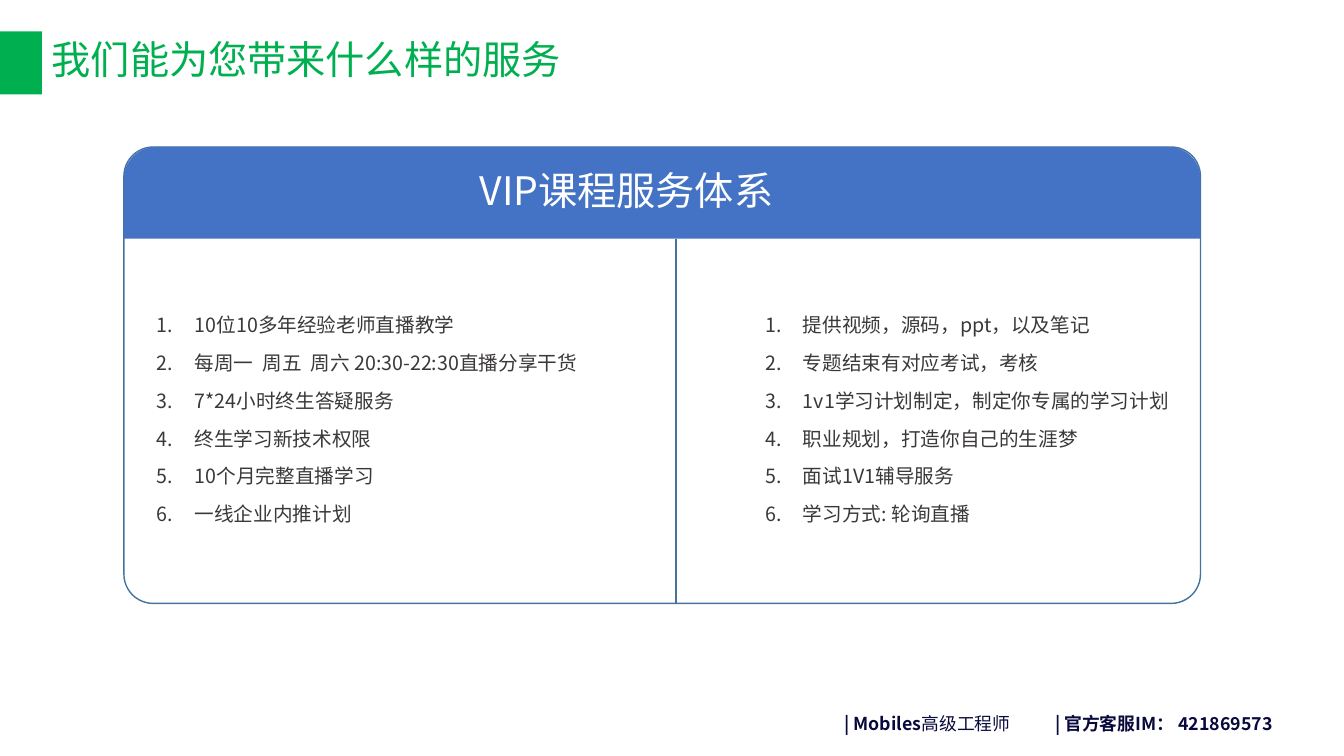
import dataclasses

import pptx
import pptx.dml.color
import pptx.enum.shapes
import pptx.enum.text
import pptx.oxml.ns
import pptx.util
from lxml import etree

Pt = pptx.util.Pt
SHAPES = pptx.enum.shapes.MSO_SHAPE
ANCHOR = pptx.enum.text.MSO_ANCHOR
qn = pptx.oxml.ns.qn


@dataclasses.dataclass(frozen=True)
class Theme:
    """Colours, font and type sizes of the deck."""
    green: str = "00B050"
    blue: str = "4472C4"
    outline: str = "43739E"
    white: str = "FFFFFF"
    body: str = "3B3838"
    navy: str = "090A3C"
    font: str = "Noto Sans CJK SC"
    heading_size: float = 28
    body_size: float = 14
    footer_size: float = 12.7
    line_spacing: float = 0.9
    item_gap: float = 12


THEME = Theme()

TEACHING = [
    "10位10多年经验老师直播教学",
    "每周一  周五  周六 20:30-22:30直播分享干货",
    "7*24小时终生答疑服务",
    "终生学习新技术权限",
    "10个月完整直播学习",
    "一线企业内推计划",
]
SUPPORT = [
    "提供视频，源码，ppt，以及笔记",
    "专题结束有对应考试，考核",
    "1v1学习计划制定，制定你专属的学习计划",
    "职业规划，打造你自己的生涯梦",
    "面试1V1辅导服务",
    "学习方式: 轮询直播",
]


def rgb(code):
    """Turn a hex code into a colour."""
    return pptx.dml.color.RGBColor.from_string(code)


def add_run(paragraph, words, size, color, bold=False):
    """Append one styled run to a paragraph."""
    run = paragraph.add_run()
    run.text = words
    run.font.size = Pt(size)
    run.font.bold = bold
    run.font.color.rgb = rgb(color)
    run.font.name = THEME.font
    east_asian = etree.SubElement(run.font._element, qn("a:ea"))
    east_asian.set("typeface", THEME.font)


def add_frame(slide, left, top, width, height, anchor=ANCHOR.MIDDLE):
    """Add a wrapping text box and return its text frame."""
    frame = slide.shapes.add_textbox(Pt(left), Pt(top), Pt(width), Pt(height)).text_frame
    frame.word_wrap = True
    frame.vertical_anchor = anchor
    return frame


def add_block(slide, kind, left, top, width, height, fill=None, outline=None, corners=()):
    """Add a flat shape with optional fill, outline and corner settings."""
    block = slide.shapes.add_shape(kind, Pt(left), Pt(top), Pt(width), Pt(height))
    block.shadow.inherit = False
    for index, corner in enumerate(corners):
        block.adjustments[index] = corner
    if fill:
        block.fill.solid()
        block.fill.fore_color.rgb = rgb(fill)
    else:
        block.fill.background()
    if outline:
        block.line.color.rgb = rgb(outline)
        block.line.width = Pt(1)
    else:
        block.line.fill.background()


def add_heading(slide, words, color, left, top, width, height):
    """Add a one-line heading."""
    paragraph = add_frame(slide, left, top, width, height).paragraphs[0]
    paragraph.line_spacing = THEME.line_spacing
    add_run(paragraph, words, THEME.heading_size, color)


def add_title_bar(slide, left, top, width, height):
    """Place the green marker and the slide title beside it."""
    marker = 30
    add_block(slide, SHAPES.RECTANGLE, left, top, marker, height, fill=THEME.green)
    add_heading(slide, "我们能为您带来什么样的服务", THEME.green,
                left + marker, top - 1, width - marker, height)


def add_numbered_list(slide, items, left, top, width, height):
    """Place a numbered list, centred vertically in its box."""
    frame = add_frame(slide, left, top, width, height)
    for index, item in enumerate(items):
        paragraph = frame.add_paragraph() if index else frame.paragraphs[0]
        paragraph.line_spacing = THEME.line_spacing
        paragraph.space_before = Pt(THEME.item_gap if index else 0)
        properties = paragraph._p.get_or_add_pPr()
        properties.set("marL", str(Pt(27)))
        properties.set("indent", str(-Pt(27)))
        numbering = etree.SubElement(properties, qn("a:buAutoNum"))
        numbering.set("type", "arabicPeriod")
        add_run(paragraph, item, THEME.body_size, THEME.body)


def add_service_card(slide, left, top, width, height):
    """Place the card with its header, divider and two lists."""
    header = 65.5
    divider_x = left + 394.5
    add_block(slide, SHAPES.ROUNDED_RECTANGLE, left, top, width, height,
              outline=THEME.outline, corners=[0.064])
    add_block(slide, SHAPES.ROUND_2_SAME_RECTANGLE, left, top, width, header,
              fill=THEME.blue, corners=[0.345, 0])
    add_heading(slide, "VIP课程服务体系", THEME.white, left + 247, top + 10, 450, 46)

    list_top = top + header + 10.5
    list_height = height - header - 21.5
    add_numbered_list(slide, TEACHING, left + 16.5, list_top, 370, list_height)
    add_numbered_list(slide, SUPPORT, left + 451, list_top, 318, list_height)

    divider = slide.shapes.add_connector(
        pptx.enum.shapes.MSO_CONNECTOR.STRAIGHT,
        Pt(divider_x), Pt(top + header), Pt(divider_x), Pt(top + height))
    divider.line.color.rgb = rgb(THEME.outline)
    divider.line.width = Pt(1.5)
    etree.SubElement(divider._element.spPr, qn("a:effectLst"))


def add_footer(slide, left, top, width, height):
    """Place the course name and the contact number."""
    contact_offset = 150.5
    course = add_frame(slide, left, top, 172, height, ANCHOR.TOP).paragraphs[0]
    add_run(course, "| Mobiles", THEME.footer_size, THEME.navy, bold=True)
    add_run(course, "高级工程师", THEME.footer_size, THEME.navy)
    contact = add_frame(slide, left + contact_offset, top, width - contact_offset,
                        height, ANCHOR.TOP).paragraphs[0]
    add_run(contact, "| 官方客服IM： 421869573", THEME.footer_size, THEME.navy, bold=True)


def main():
    """Build and save the slide."""
    deck = pptx.Presentation()
    deck.slide_width, deck.slide_height = Pt(960), Pt(540)
    slide = deck.slides.add_slide(deck.slide_layouts[6])
    add_title_bar(slide, 0, 22.5, 930, 45)
    add_service_card(slide, 88.5, 105, 769, 326)
    add_footer(slide, 596, 505.5, 354, 22.5)
    deck.save("out.pptx")


if __name__ == "__main__":
    main()
